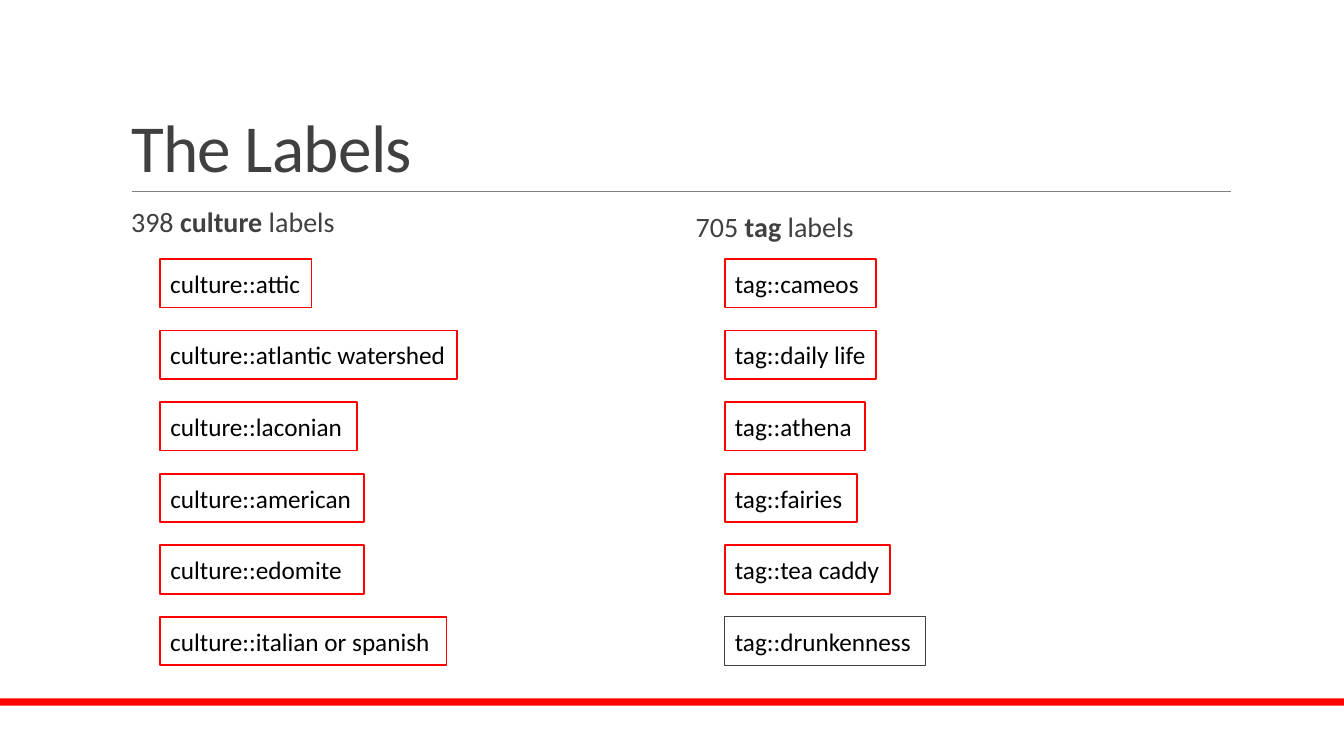
from lxml.etree import SubElement
from pptx import Presentation
from pptx.dml.color import RGBColor
from pptx.enum.shapes import MSO_CONNECTOR, MSO_SHAPE
from pptx.enum.text import MSO_ANCHOR, MSO_AUTO_SIZE, PP_ALIGN
from pptx.oxml.ns import qn
from pptx.util import Inches, Pt

RED = RGBColor(0xFF, 0x00, 0x00)
WHITE = RGBColor(0xFF, 0xFF, 0xFF)
BLACK = RGBColor(0x00, 0x00, 0x00)
GRAY = RGBColor(0x80, 0x80, 0x80)
DARK = RGBColor(0x40, 0x40, 0x40)

TITLE = "The Labels"
COLUMNS = [
    {
        "left": 1.2, "top": 2.02,
        "heading": [("398 ", False), ("culture", True), (" labels", False)],
        "labels": [
            ("culture::attic", 1.5, RED, 1.25),
            ("culture::atlantic watershed", 2.94, RED, 1.25),
            ("culture::laconian", 1.95, RED, 1.25),
            ("culture::american", 2.02, RED, 1.25),
            ("culture::edomite", 2.02, RED, 1.25),
            ("culture::italian or spanish", 2.84, RED, 1.25),
        ],
    },
    {
        "left": 6.8, "top": 2.07,
        "heading": [("705 ", False), ("tag", True), (" labels", False)],
        "labels": [
            ("tag::cameos", 1.5, RED, 1.25),
            ("tag::daily life", 1.5, RED, 1.25),
            ("tag::athena", 1.39, RED, 1.25),
            ("tag::fairies", 1.31, RED, 1.25),
            ("tag::tea caddy", 1.64, RED, 1.25),
            ("tag::drunkenness", 1.99, DARK, 0.75),
        ],
    },
]

WIDTH, HEIGHT = 13.33, 7.5
LABEL_INDENT, LABEL_TOP, LABEL_HEIGHT, ROW_PITCH = 0.39, 2.57, 0.48, 0.71


def place(shape, left, top, width, height):
    shape.left, shape.top = Inches(left), Inches(top)
    shape.width, shape.height = Inches(width), Inches(height)


def write(shape, runs, size, color, anchor=MSO_ANCHOR.TOP, line_spacing=1.0,
          space_after=0, side_inset=0.1, bullet=False, tracking=None):
    frame = shape.text_frame
    frame.word_wrap = True
    frame.auto_size = MSO_AUTO_SIZE.NONE
    frame.vertical_anchor = anchor
    frame.margin_left = frame.margin_right = Inches(side_inset)
    frame.margin_top = frame.margin_bottom = Inches(0.05)
    paragraph = frame.paragraphs[0]
    paragraph.alignment = PP_ALIGN.LEFT
    paragraph.line_spacing = line_spacing
    paragraph.space_before = Pt(0)
    paragraph.space_after = Pt(space_after)
    if bullet:
        properties = paragraph._p.get_or_add_pPr()
        properties.set("marL", str(Inches(0.1)))
        properties.set("indent", str(-Inches(0.1)))
        bullet_color = SubElement(properties, qn("a:buClr"))
        SubElement(bullet_color, qn("a:srgbClr")).set("val", str(RED))
        SubElement(properties, qn("a:buChar")).set("char", " ")
    for text, bold in runs:
        run = paragraph.add_run()
        run.text = text
        run.font.name = "Calibri"
        run.font.size = Pt(size)
        run.font.bold = bold
        run.font.color.rgb = color
        if tracking is not None:
            run.font._element.set("spc", str(int(tracking * 100)))


def add_box(slide, left, top, width, height, fill):
    shape = slide.shapes.add_shape(
        MSO_SHAPE.RECTANGLE, Inches(left), Inches(top), Inches(width), Inches(height))
    shape.shadow.inherit = False
    shape.fill.solid()
    shape.fill.fore_color.rgb = fill
    return shape


def add_rule(slide, left, right, top):
    rule = slide.shapes.add_connector(
        MSO_CONNECTOR.STRAIGHT, Inches(left), Inches(top), Inches(right), Inches(top))
    rule.line.color.rgb = GRAY
    rule.line.width = Pt(0.5)
    SubElement(rule._element.spPr, qn("a:effectLst"))


def main():
    presentation = Presentation()
    presentation.slide_width, presentation.slide_height = Inches(WIDTH), Inches(HEIGHT)
    slide = presentation.slides.add_slide(presentation.slide_layouts[3])

    band = add_box(slide, 0, 6.93, WIDTH, 0.07, RED)
    band.line.fill.background()
    add_rule(slide, 1.31, 12.21, 1.9)

    title, *bodies = slide.placeholders
    place(title, 1.2, 0.31, 11, 1.59)
    write(title, [(TITLE, False)], 48, DARK, anchor=MSO_ANCHOR.BOTTOM,
          line_spacing=0.85, tracking=-0.5)

    for body, column in zip(bodies, COLUMNS):
        place(body, column["left"], column["top"], 5.4, 4.4)
        write(body, column["heading"], 20, DARK, line_spacing=0.9,
              space_after=2, side_inset=0, bullet=True)
        for row, (text, width, outline, weight) in enumerate(column["labels"]):
            label = add_box(slide, column["left"] + LABEL_INDENT,
                            LABEL_TOP + row * ROW_PITCH, width, LABEL_HEIGHT, WHITE)
            label.line.color.rgb = outline
            label.line.width = Pt(weight)
            write(label, [(text, False)], 18, BLACK, anchor=MSO_ANCHOR.MIDDLE)

    presentation.save("out.pptx")


if __name__ == "__main__":
    main()
